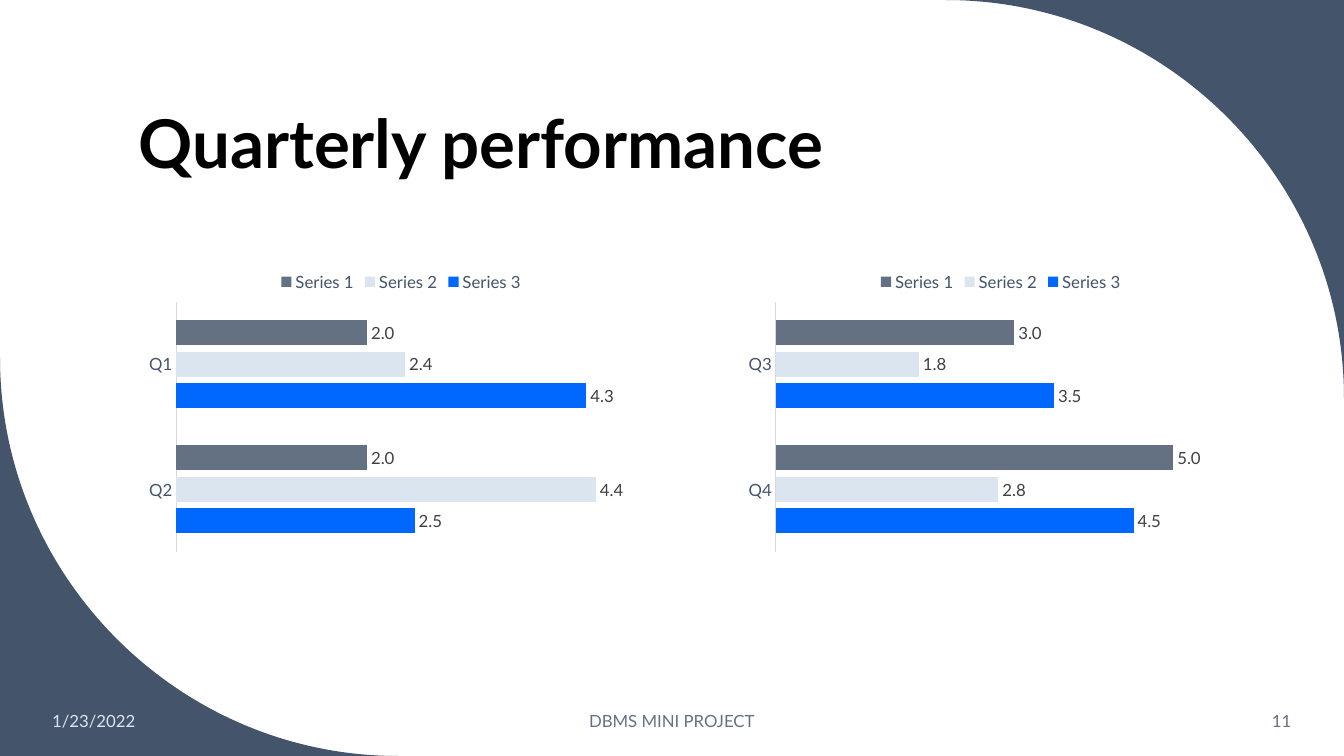
from lxml import etree
from pptx import Presentation
from pptx.chart.data import CategoryChartData
from pptx.dml.color import RGBColor
from pptx.enum.chart import XL_CHART_TYPE as ChartType
from pptx.enum.chart import XL_LABEL_POSITION as LabelPosition
from pptx.enum.chart import XL_LEGEND_POSITION as LegendPosition
from pptx.enum.chart import XL_TICK_MARK as TickMark
from pptx.enum.text import MSO_ANCHOR as Anchor
from pptx.enum.text import PP_ALIGN as Align
from pptx.oxml.ns import qn
from pptx.util import Pt

COLORS = {
    "navy": "44546A",
    "slate": "637183",
    "pale": "DAE5EF",
    "blue": "0068FF",
    "label": "404040",
    "axis": "D9D9D9",
    "black": "000000",
}
FONT = "Lato"
WIDTH, HEIGHT = 960, 540


def set_font(font, size, color, bold=False):
    font.name = FONT
    font.size = Pt(size)
    font.bold = bold
    font.color.rgb = RGBColor.from_string(COLORS[color])


def add_text(text, left, top, width, height, size, color, align, anchor, bold=False):
    box = page.shapes.add_textbox(Pt(left), Pt(top), Pt(width), Pt(height))
    frame = box.text_frame
    frame.word_wrap = True
    frame.vertical_anchor = anchor
    para = frame.paragraphs[0]
    para.alignment = align
    span = para.add_run()
    span.text = text
    set_font(span.font, size, color, bold)
    return para


deck = Presentation()
deck.slide_width, deck.slide_height = Pt(WIDTH), Pt(HEIGHT)
page = deck.slides.add_slide(deck.slide_layouts[6])

# Curved corners: a slide corner cut off by a quarter circle
RADIUS = 284.4
HANDLE = RADIUS * 0.55
for corner_x, corner_y, inward in [(WIDTH, 0, 1), (0, HEIGHT, -1)]:
    offsets = [(RADIUS, 0), (RADIUS - HANDLE, 0), (0, RADIUS - HANDLE), (0, RADIUS)]
    points = [(Pt(corner_x - inward * x), Pt(corner_y + inward * y)) for x, y in offsets]
    builder = page.shapes.build_freeform(Pt(corner_x), Pt(corner_y))
    builder.add_line_segments(points, close=True)
    shape = builder.convert_to_shape()
    shape.shadow.inherit = False
    shape.fill.solid()
    shape.fill.fore_color.rgb = RGBColor.from_string(COLORS["navy"])
    shape.line.fill.background()
    # The last three segments become the handles and end of one curve
    edge, *curve_parts = list(shape.element.iter(qn("a:lnTo")))
    curve = etree.Element(qn("a:cubicBezTo"))
    edge.addnext(curve)
    for part in curve_parts:
        curve.append(part[0])
        part.getparent().remove(part)

# Title
title = add_text("Quarterly performance", 91.8, 30.2, 769.7, 104.4,
                 48, "black", Align.LEFT, Anchor.BOTTOM, bold=True)
title.line_spacing = 0.9

# Bar charts: left, axis maximum, categories and series from the bottom up
charts = [
    (99, 5, ["Q2", "Q1"], [[2.5, 4.3], [4.4, 2.4], [2.0, 2.0]]),
    (527.3, 6, ["Q4", "Q3"], [[4.5, 3.5], [2.8, 1.8], [5.0, 3.0]]),
]
series_styles = [
    ("Series 3", "blue", "General"),
    ("Series 2", "pale", "General"),
    ("Series 1", "slate", "#,##0.0"),
]
for left, maximum, quarters, rows in charts:
    data = CategoryChartData()
    data.categories = quarters
    for (name, _, _), values in zip(series_styles, rows):
        data.add_series(name, values)
    chart = page.shapes.add_chart(ChartType.BAR_CLUSTERED, Pt(left), Pt(186),
                                  Pt(375.1), Pt(212.4), data).chart
    set_font(chart.font, 10, "black")
    chart.has_title = False
    chart.has_legend = True
    chart.legend.position = LegendPosition.TOP
    chart.legend.include_in_layout = False
    set_font(chart.legend.font, 12, "navy")

    category_axis = chart.category_axis
    category_axis.major_tick_mark = TickMark.NONE
    category_axis.minor_tick_mark = TickMark.NONE
    category_axis.has_major_gridlines = False
    category_axis.format.line.width = Pt(0.75)
    category_axis.format.line.color.rgb = RGBColor.from_string(COLORS["axis"])
    set_font(category_axis.tick_labels.font, 12, "navy")

    value_axis = chart.value_axis
    value_axis.minimum_scale, value_axis.maximum_scale = 0, maximum
    value_axis.has_major_gridlines = False
    value_axis.visible = False

    plot = chart.plots[0]
    plot.gap_width = 150
    plot.overlap = -25
    plot.vary_by_categories = False
    for series, (_, color, number_format) in zip(plot.series, series_styles):
        series.invert_if_negative = False
        series.format.fill.solid()
        series.format.fill.fore_color.rgb = RGBColor.from_string(COLORS[color])
        labels = series.data_labels
        labels.show_value = True
        labels.number_format = number_format
        labels.number_format_is_linked = False
        labels.position = LabelPosition.OUTSIDE_END
        set_font(labels.font, 12, "label")

# Footer
footers = [
    ("1/23/2022", 30.2, 133.9, "pale", Align.LEFT),
    ("DBMS MINI PROJECT", 318, 324, "slate", Align.CENTER),
    ("11", 799.2, 130.3, "slate", Align.RIGHT),
]
for text, left, width, color, align in footers:
    add_text(text, left, 500.5, width, 28.8, 12, color, align, Anchor.MIDDLE)

deck.save("out.pptx")
